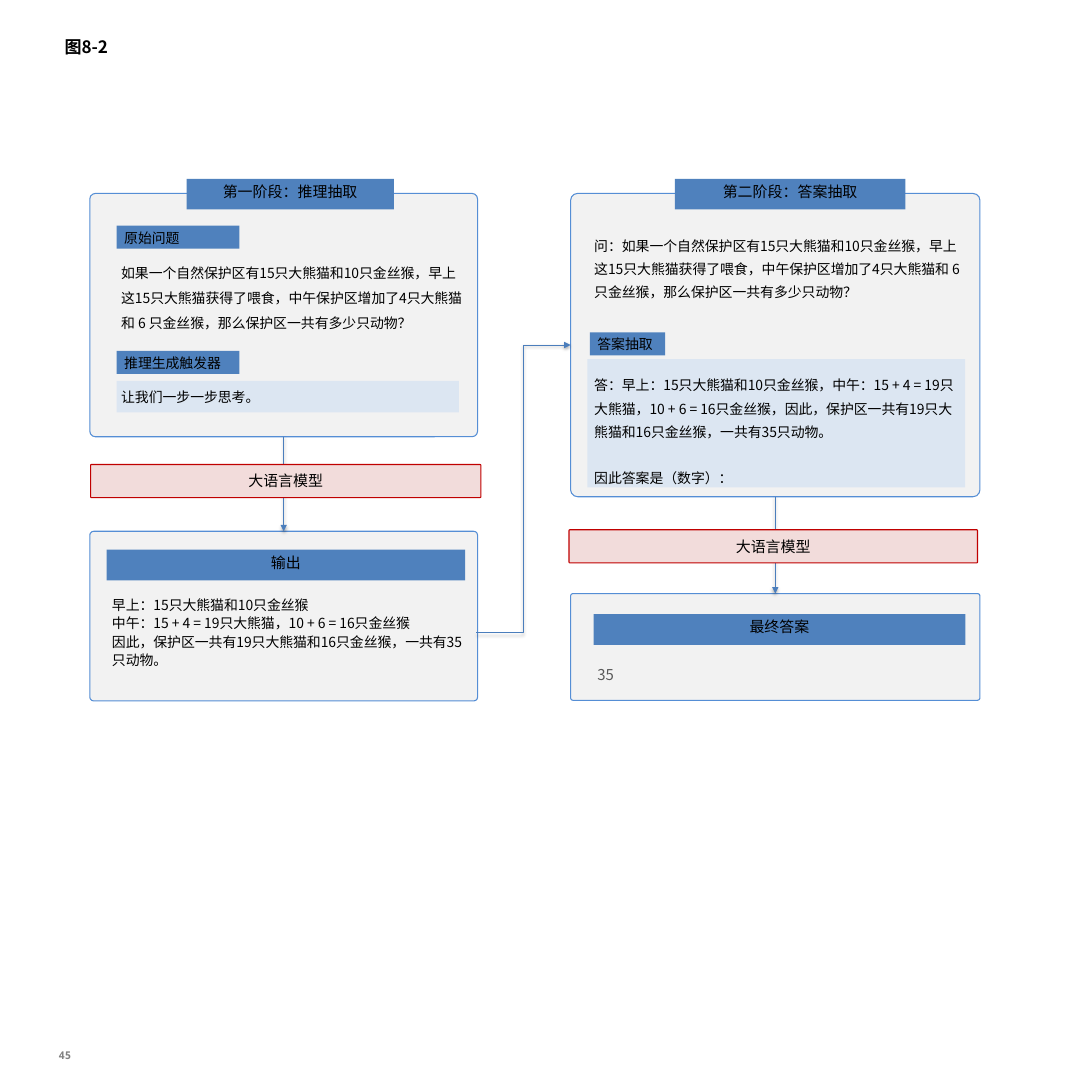
from lxml.etree import SubElement
from pptx import Presentation
from pptx.dml.color import RGBColor
from pptx.enum.shapes import MSO_CONNECTOR, MSO_SHAPE
from pptx.enum.text import MSO_ANCHOR, PP_ALIGN
from pptx.oxml import parse_xml
from pptx.oxml.ns import nsdecls, qn
from pptx.util import Pt

FONT = "Noto Sans CJK SC"
BLUE, PALE, GREY = "4F81BD", "DCE6F2", "F2F2F2"
EDGE, WIRE, RED, PINK = "558ED5", "4B7EBC", "C00000", "F2DCDB"
BAR = 28.8
TAG = 21.6

SHADOW = (
    f'<a:effectLst {nsdecls("a")}>'
    '<a:outerShdw blurRad="39370" dist="22860" dir="5400000" rotWithShape="0">'
    '<a:srgbClr val="000000"><a:alpha val="35000"/></a:srgbClr>'
    '</a:outerShdw></a:effectLst>'
)


def color(code):
    return RGBColor.from_string(code)


def write(shape, text, size, pitch=None, align=PP_ALIGN.LEFT, gaps=(),
          ink="000000", bold=False, font=FONT, anchor=MSO_ANCHOR.TOP):
    frame = shape.text_frame
    frame.word_wrap = True
    frame.vertical_anchor = anchor
    frame.text = text
    for para in frame.paragraphs:
        para.alignment = align
        para.line_spacing = Pt(pitch or size * 1.2)
        for run in para.runs:
            run.font.size = Pt(size)
            run.font.bold = bold
            run.font.color.rgb = color(ink)
            run.font.name = font
            SubElement(run.font._element, qn("a:ea")).set("typeface", font)
    for para, gap in zip(frame.paragraphs[1:], gaps):
        para.space_before = Pt(gap)
    return frame


def note(slide, box, text, size, pitch=None, **look):
    return write(slide.shapes.add_textbox(*map(Pt, box)), text, size, pitch, **look)


def block(slide, box, fill, line=None):
    kind = MSO_SHAPE.ROUNDED_RECTANGLE if line else MSO_SHAPE.RECTANGLE
    shape = slide.shapes.add_shape(kind, *map(Pt, box))
    shape.shadow.inherit = False
    shape.fill.solid()
    shape.fill.fore_color.rgb = color(fill)
    if line:
        shape.adjustments[0] = 0.023
        shape.line.color.rgb = color(line)
        shape.line.width = Pt(1)
    else:
        shape.line.fill.background()
    return shape


def panel(slide, box, head, inset, drop, width):
    left, top = box[:2]
    frame = block(slide, box, GREY, EDGE)
    bar = block(slide, (left + inset, top + drop, width, BAR), BLUE)
    write(bar, head, 14, align=PP_ALIGN.CENTER)
    return frame


def tag(slide, left, top, width, text):
    write(block(slide, (left, top, width, TAG), BLUE), text, 13)


def model(slide, box):
    write(block(slide, box, PINK, RED), "大语言模型", 14,
          align=PP_ALIGN.CENTER, anchor=MSO_ANCHOR.MIDDLE)


def arrow(slide, kind, *ends):
    wire = slide.shapes.add_connector(kind, *map(Pt, ends))
    wire.line.color.rgb = color(WIRE)
    wire.line.width = Pt(0.75)
    SubElement(wire.line._get_or_add_ln(), qn("a:tailEnd")).set("type", "triangle")
    wire._element.spPr.append(parse_xml(SHADOW))
    return wire


def join(slide, upper, lower):
    wire = arrow(slide, MSO_CONNECTOR.STRAIGHT, 0, 0, 0, 0)
    wire.begin_connect(upper, 2)
    wire.end_connect(lower, 0)


def reason(slide, box):
    left, top = box[:2]
    frame = panel(slide, box, "第一阶段：推理抽取", 90.7, -13.7, 194.4)
    block(slide, (left + 25.2, top + 175.7, 321, 29.5), PALE)
    note(slide, (left + 22.3, top + 55.1, 336.2, 159.5),
         "如果一个自然保护区有15只大熊猫和10只金丝猴，早上这15只大熊猫获得了喂食，"
         "中午保护区增加了4只大熊猫和 6 只金丝猴，那么保护区一共有多少只动物？\n"
         "让我们一步一步思考。", 13, 23.4, gaps=(46.8,))
    tag(slide, left + 25.2, top + 30.2, 115.2, "原始问题")
    tag(slide, left + 25.2, top + 147.6, 115.2, "推理生成触发器")
    return frame


def extract(slide, box):
    left, top = box[:2]
    frame = panel(slide, box, "第二阶段：答案抽取", 97.9, -13.7, 216)
    block(slide, (left + 15.8, top + 155.5, 354.2, 120.2), PALE)
    note(slide, (left + 15.1, top + 31.7, 360, 249.1),
         "问：如果一个自然保护区有15只大熊猫和10只金丝猴，早上这15只大熊猫获得了喂食，"
         "中午保护区增加了4只大熊猫和 6 只金丝猴，那么保护区一共有多少只动物？\n"
         "答：早上：15只大熊猫和10只金丝猴，中午：15 + 4 = 19只大熊猫，"
         "10 + 6 = 16只金丝猴，因此，保护区一共有19只大熊猫和16只金丝猴，"
         "一共有35只动物。\n"
         "因此答案是（数字）：", 13, 21.8, gaps=(65.4, 21.8))
    tag(slide, left + 18, top + 130.3, 70.6, "答案抽取")
    return frame


def output(slide, box):
    left, top = box[:2]
    frame = panel(slide, box, "输出", 15.8, 17.3, 336.2)
    note(slide, (left + 13.7, top + 56.2, 348.5, 76.3),
         "早上：15只大熊猫和10只金丝猴\n"
         "中午：15 + 4 = 19只大熊猫，10 + 6 = 16只金丝猴\n"
         "因此，保护区一共有19只大熊猫和16只金丝猴，一共有35只动物。", 13, 17.2)
    return frame


def answer(slide, box):
    left, top = box[:2]
    frame = panel(slide, box, "最终答案", 21.6, 19.4, 348.5)
    note(slide, (left + 18, top + 59, 345.6, 31), "35", 14, 21.8, ink="595959")
    return frame


def caption(slide):
    title = note(slide, (51.1, 28.8, 921.6, 29.5), "图8-2", 16,
                 bold=True, anchor=MSO_ANCHOR.MIDDLE)
    title.margin_left = title.margin_right = Pt(9.4)
    page = note(slide, (46.1, 984.2, 29.5, 11.5), "45", 10, 11.2,
                align=PP_ALIGN.CENTER, ink="808080", bold=True, font="Noto Sans Mono")
    page.margin_left = page.margin_right = page.margin_top = page.margin_bottom = 0


def main():
    deck = Presentation()
    deck.slide_width, deck.slide_height = Pt(1023.84), Pt(1020.24)
    slide = deck.slides.add_slide(deck.slide_layouts[6])
    caption(slide)
    first = reason(slide, (84.2, 181.4, 363.6, 228.2))
    result = output(slide, (84.2, 498.2, 363.6, 159.1))
    second = extract(slide, (535, 181.4, 383.8, 284.4))
    final = answer(slide, (535, 556.6, 383.8, 100.1))
    join(slide, first, result)
    join(slide, second, final)
    model(slide, (85, 435.6, 365.8, 31))
    model(slide, (533.5, 496.8, 383, 31))
    arrow(slide, MSO_CONNECTOR.ELBOW, 446.4, 593.3, 535, 323.6)
    deck.save("out.pptx")


if __name__ == "__main__":
    main()
